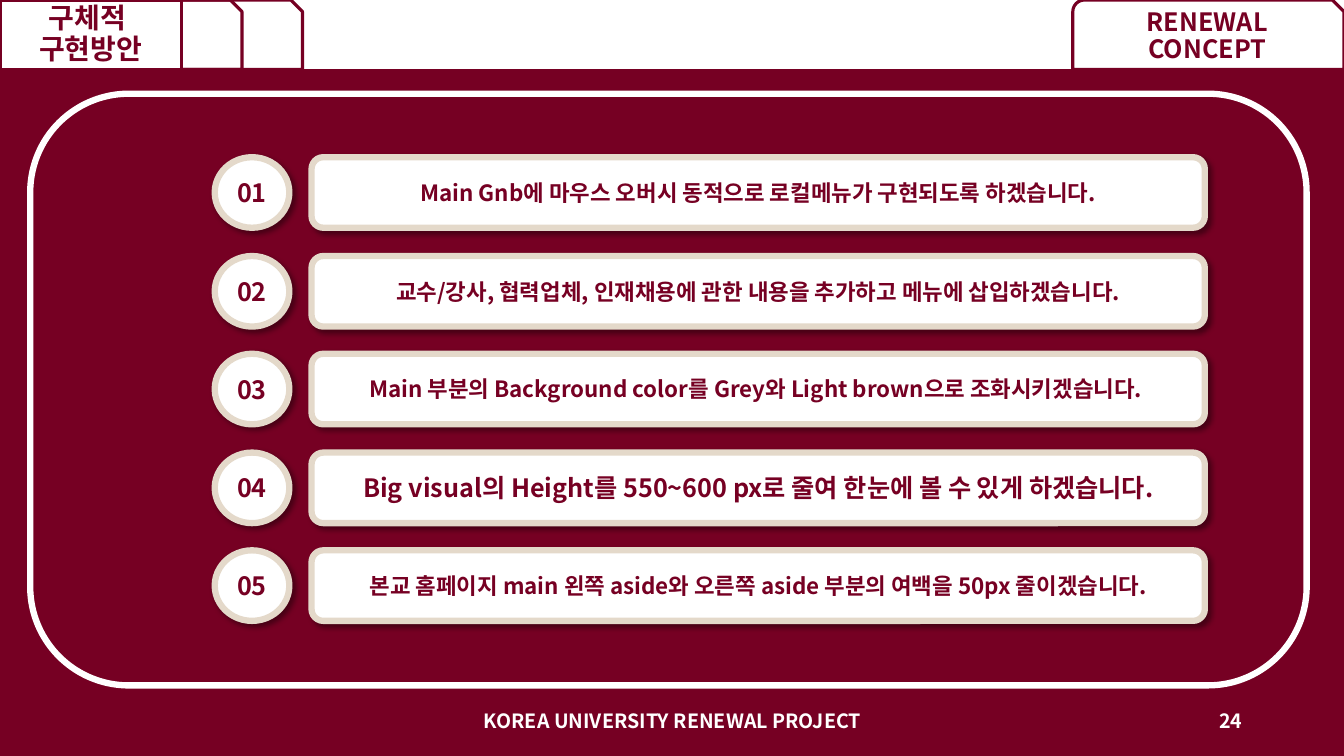
import pptx
import pptx.util
import pptx.oxml
import pptx.oxml.ns
import pptx.dml.color
import pptx.enum.shapes
import pptx.enum.text
from lxml import etree

RGBColor = pptx.dml.color.RGBColor
SHAPE = pptx.enum.shapes.MSO_SHAPE
ALIGN = pptx.enum.text.PP_ALIGN
qn = pptx.oxml.ns.qn

CRIMSON = RGBColor(0x76, 0x00, 0x23)
BEIGE = RGBColor(0xE4, 0xD9, 0xCA)
WHITE = RGBColor(0xFF, 0xFF, 0xFF)
BLACK = RGBColor(0x00, 0x00, 0x00)
FONT = "Noto Sans CJK KR"

WIDTH, HEIGHT = 13.33, 7.5
TAB_HEIGHT = HEIGHT * 0.092
TAB_WIDTH = WIDTH * 0.135
TAB_STEP = TAB_WIDTH / 3
CONCEPT_WIDTH = WIDTH * 0.202
ROW_TOP = HEIGHT * 0.208
ROW_PITCH = HEIGHT * 0.13
ROW_HEIGHT = HEIGHT * 0.093
NUMBER_LEFT, NUMBER_WIDTH = WIDTH * 0.16, WIDTH * 0.0555
PLAN_LEFT, PLAN_WIDTH = WIDTH * 0.232, WIDTH * 0.6645
FOOTER_TOP, FOOTER_HEIGHT = HEIGHT * 0.927, HEIGHT * 0.053

PLANS = [
    ("Main Gnb에 마우스 오버시 동적으로 로컬메뉴가 구현되도록 하겠습니다.", 16),
    ("교수/강사, 협력업체, 인재채용에 관한 내용을 추가하고 메뉴에 삽입하겠습니다.", 16),
    ("Main 부분의 Background color를 Grey와 Light brown으로 조화시키겠습니다. ", 16),
    ("Big visual의 Height를 550~600 px로 줄여 한눈에 볼 수 있게 하겠습니다.", 18),
    ("본교 홈페이지 main 왼쪽 aside와 오른쪽 aside 부분의 여백을 50px 줄이겠습니다.", 16),
]


def inches(*lengths):
    return [pptx.util.Inches(round(length, 2)) for length in lengths]


def add_panel(slide, preset, box, line, line_width, fill=None):
    panel = slide.shapes.add_shape(preset, *inches(*box))
    panel.shadow.inherit = False
    if fill is None:
        panel.fill.background()
    else:
        panel.fill.solid()
        panel.fill.fore_color.rgb = fill
    panel.line.color.rgb = line
    panel.line.width = pptx.util.Pt(line_width)
    return panel


def write(holder, words, size, color, align=ALIGN.CENTER, spacing=None):
    frame = holder.text_frame
    frame.word_wrap = True
    frame.vertical_anchor = pptx.enum.text.MSO_ANCHOR.MIDDLE
    paragraph = frame.paragraphs[0]
    paragraph.text = words
    paragraph.alignment = align
    if spacing:
        paragraph.line_spacing = spacing
    font = paragraph.font
    font.size = pptx.util.Pt(size)
    font.bold = True
    font.color.rgb = color
    font.name = FONT
    latin = paragraph._p.pPr.find(qn("a:defRPr")).find(qn("a:latin"))
    east_asian = etree.Element(qn("a:ea"), typeface=FONT)
    latin.addnext(east_asian)


def cast_shadow(panel):
    effects = panel._element.spPr.find(qn("a:effectLst"))
    shadow = etree.SubElement(
        effects, qn("a:outerShdw"), blurRad=str(pptx.util.Pt(4)),
        dist=str(pptx.util.Pt(3)), dir="2700000", algn="tl", rotWithShape="0")
    color = etree.SubElement(shadow, qn("a:srgbClr"), val=str(BLACK))
    etree.SubElement(color, qn("a:alpha"), val="40000")


def add_tab(slide, left, width, fill=None):
    return add_panel(slide, SHAPE.SNIP_ROUND_RECTANGLE,
                     (left, 0, width, TAB_HEIGHT), CRIMSON, 2.25, fill)


def add_badge(slide, preset, left, top, width, words, size):
    badge = add_panel(slide, preset, (left, top, width, ROW_HEIGHT), BEIGE, 4.5, WHITE)
    cast_shadow(badge)
    write(badge, words, size, CRIMSON)
    return badge


def add_footer(slide, left, width, words, align):
    footer = slide.shapes.add_textbox(*inches(left, FOOTER_TOP, width, FOOTER_HEIGHT))
    write(footer, words, 14, WHITE, align)


def add_plan(slide, index, words, size):
    top = ROW_TOP + index * ROW_PITCH
    number = add_badge(slide, SHAPE.OVAL, NUMBER_LEFT, top, NUMBER_WIDTH,
                       f"{index + 1:02d}", 18)
    number.text_frame.margin_left = number.text_frame.margin_right = 0
    add_badge(slide, SHAPE.ROUNDED_RECTANGLE, PLAN_LEFT, top, PLAN_WIDTH, words, size)


def main():
    deck = pptx.Presentation()
    deck.slide_width, deck.slide_height = inches(WIDTH, HEIGHT)
    slide = deck.slides.add_slide(deck.slide_layouts[6])

    add_panel(slide, SHAPE.RECTANGLE, (0, TAB_HEIGHT, WIDTH, HEIGHT - TAB_HEIGHT),
              CRIMSON, 1, CRIMSON)
    concept = add_tab(slide, WIDTH - CONCEPT_WIDTH, CONCEPT_WIDTH)
    write(concept, "RENEWAL CONCEPT", 18, CRIMSON, spacing=0.9)
    for step in (1, 2):
        add_tab(slide, step * TAB_STEP, TAB_WIDTH)
    add_panel(slide, SHAPE.ROUNDED_RECTANGLE,
              (WIDTH * 0.0225, HEIGHT * 0.124, WIDTH * 0.95, HEIGHT * 0.783), WHITE, 4.5)

    add_footer(slide, WIDTH * 0.3315, WIDTH * 0.3375,
               "KOREA UNIVERSITY RENEWAL PROJECT", ALIGN.CENTER)
    add_footer(slide, WIDTH * 0.7065, WIDTH * 0.225, "24", ALIGN.RIGHT)

    title = add_tab(slide, 0, TAB_WIDTH, WHITE)
    title.adjustments[0] = title.adjustments[1] = 0
    write(title, "구체적 \v구현방안", 20, CRIMSON, spacing=0.9)

    for index, (words, size) in enumerate(PLANS):
        add_plan(slide, index, words, size)

    deck.save("out.pptx")


if __name__ == "__main__":
    main()
